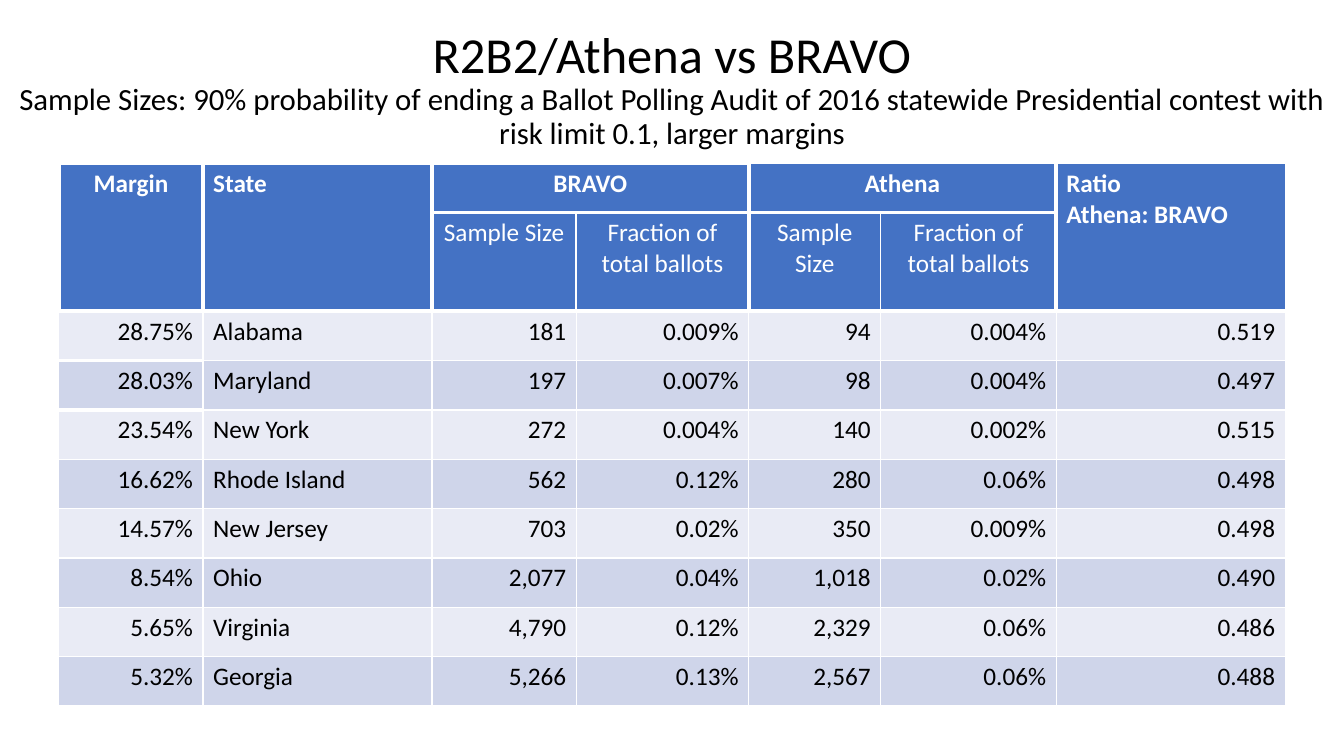
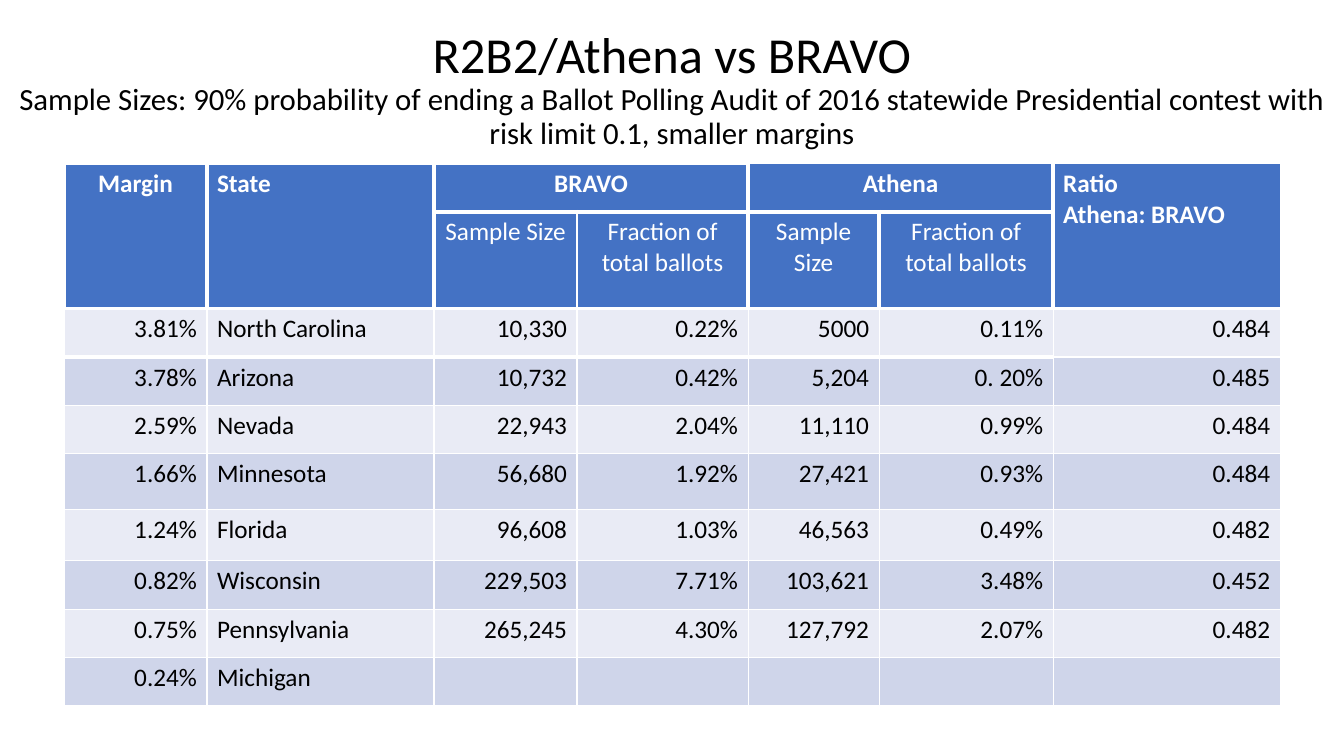
import pptx
import pptx.util
import pptx.dml.color
import pptx.enum.text
import pptx.oxml
import pptx.oxml.ns
from dataclasses import dataclass

ALIGN = pptx.enum.text.PP_ALIGN
LEFT, MID, RIGHT = ALIGN.LEFT, ALIGN.CENTER, ALIGN.RIGHT


@dataclass(frozen=True)
class Theme:
    font: str = "Calibri"
    ink: str = "000000"
    paper: str = "FFFFFF"
    head: str = "4472C4"
    bands: tuple = ("E9EBF5", "CFD5EA")
    title: int = 36
    sub: int = 22
    cell: int = 18
    thin: float = 1
    fine: float = 1.5
    thick: float = 3


T = Theme()
WIDE, HIGH = pptx.util.Inches(13.33), pptx.util.Inches(7.5)

# Shares of the table width, and the header cells with their spans
COLS = (1.43, 2.27, 1.43, 1.71, 1.31, 1.74, 2.27)
HEADS = (
    # row, column, rows, columns, text, alignment
    (0, 0, 2, 1, "Margin", MID),
    (0, 1, 2, 1, "State", LEFT),
    (0, 2, 1, 2, "BRAVO", MID),
    (0, 4, 1, 2, "Athena", MID),
    (0, 6, 2, 1, "Ratio\nAthena: BRAVO", LEFT),
    (1, 2, 1, 1, "Sample Size", MID),
    (1, 3, 1, 1, "Fraction of total ballots", MID),
    (1, 4, 1, 1, "Sample Size", MID),
    (1, 5, 1, 1, "Fraction of total ballots", MID),
)

LARGE = (
    ("28.75%", "Alabama", "181", "0.009%", "94", "0.004%", "0.519"),
    ("28.03%", "Maryland", "197", "0.007%", "98", "0.004%", "0.497"),
    ("23.54%", "New York", "272", "0.004%", "140", "0.002%", "0.515"),
    ("16.62%", "Rhode Island", "562", "0.12%", "280", "0.06%", "0.498"),
    ("14.57%", "New Jersey", "703", "0.02%", "350", "0.009%", "0.498"),
    ("8.54%", "Ohio", "2,077", "0.04%", "1,018", "0.02%", "0.490"),
    ("5.65%", "Virginia", "4,790", "0.12%", "2,329", "0.06%", "0.486"),
    ("5.32%", "Georgia", "5,266", "0.13%", "2,567", "0.06%", "0.488"),
)
SMALL = (
    ("3.81%", "North Carolina", "10,330", "0.22%", "5000", "0.11%", "0.484"),
    ("3.78%", "Arizona", "10,732", "0.42%", "5,204", "0. 20%", "0.485"),
    ("2.59%", "Nevada", "22,943", "2.04%", "11,110", "0.99%", "0.484"),
    ("1.66%", "Minnesota", "56,680", "1.92%", "27,421", "0.93%", "0.484"),
    ("1.24%", "Florida", "96,608", "1.03%", "46,563", "0.49%", "0.482"),
    ("0.82%", "Wisconsin", "229,503", "7.71%", "103,621", "3.48%", "0.452"),
    ("0.75%", "Pennsylvania", "265,245", "4.30%", "127,792", "2.07%", "0.482"),
    ("0.24%", "Michigan", "", "", "", "", ""),
)


@dataclass(frozen=True)
class Page:
    kind: str
    data: tuple
    box: tuple      # left, top, width, height as shares of the slide
    rows: tuple     # row heights in header-row units
    split: float    # line between the two Athena columns
    heavy: tuple    # (edge, column) of thick lines in the body


PAGES = (
    Page("larger", LARGE, (0.0438, 0.216, 0.9125, 0.718), (1, 2) + (1,) * 8,
         T.thin, ((3, 0), (4, 0))),
    Page("smaller", SMALL, (0.0476, 0.216, 0.905, 0.718),
         (1, 2, 1, 1, 1, 1.15, 1.06, 1, 1, 1),
         T.thick, tuple((3, c) for c in range(6))),
)


def put(frame, text, size=T.cell, color=T.ink, bold=False, align=LEFT,
        space=1.0, more=False):
    """Write each line of the text as a paragraph."""
    for n, line in enumerate(text.split("\n")):
        para = frame.add_paragraph() if n or more else frame.paragraphs[0]
        para.alignment, para.line_spacing = align, space
        run = para.add_run()
        run.text = line
        run.font.name, run.font.bold = T.font, bold
        run.font.size = pptx.util.Pt(size)
        run.font.color.rgb = pptx.dml.color.RGBColor.from_string(color)


def paint(cell, color):
    cell.fill.solid()
    cell.fill.fore_color.rgb = pptx.dml.color.RGBColor.from_string(color)


def edge(cell, widths):
    """Draw left, right, top and bottom lines, ahead of the cell fill."""
    props = cell._tc.get_or_add_tcPr()
    space = pptx.oxml.ns.nsdecls("a")
    for n, (side, width) in enumerate(zip("LRTB", widths)):
        props.insert(n, pptx.oxml.parse_xml(
            f'<a:ln{side} {space} w="{pptx.util.Pt(width)}"><a:solidFill>'
            f'<a:srgbClr val="{T.paper}"/></a:solidFill></a:ln{side}>'))


def upright(row, col, page):
    """Width of the line to the left of a column."""
    if row > 1 or col == len(COLS):
        return T.thin
    return {(1, 3): T.fine, (1, 5): page.split}.get((row, col), T.thick)


def flat(row, col, page):
    """Width of the line above a row."""
    if row == 0:
        return T.thick if col < 4 else T.thin
    return T.thick if row < 3 or (row, col) in page.heavy else T.thin


def frame(table, page, row, col, down=1, across=1):
    edge(table.cell(row, col), (
        upright(row, col, page), upright(row, col + across, page),
        flat(row, col, page), flat(row + down, col, page)))


def title(slide, kind, box):
    area = slide.shapes.add_textbox(*box).text_frame
    area.word_wrap = True
    area.vertical_anchor = pptx.enum.text.MSO_ANCHOR.MIDDLE
    put(area, "R2B2/Athena vs BRAVO", size=T.title, align=MID, space=0.9)
    put(area, "Sample Sizes: 90% probability of ending a Ballot Polling Audit "
        "of 2016 statewide Presidential contest with risk limit 0.1, "
        f"{kind} margins", size=T.sub, align=MID, space=0.9, more=True)


def grid(slide, page, box):
    table = slide.shapes.add_table(len(page.rows), len(COLS), *box).table
    table.first_row = table.horz_banding = False
    for col, share in zip(table.columns, COLS):
        col.width = int(box[2] * share / sum(COLS))
    for row, share in zip(table.rows, page.rows):
        row.height = int(box[3] * share / sum(page.rows))

    # Header
    for row in range(2):
        for col in range(len(COLS)):
            paint(table.cell(row, col), T.head)
    for row, col, down, across, text, align in HEADS:
        cell = table.cell(row, col)
        if down * across > 1:
            cell.merge(table.cell(row + down - 1, col + across - 1))
        put(cell.text_frame, text, color=T.paper, bold=row == 0, align=align)
        frame(table, page, row, col, down, across)

    # Body
    for row, line in enumerate(page.data, 2):
        for col, text in enumerate(line):
            cell = table.cell(row, col)
            paint(cell, T.bands[row % 2])
            frame(table, page, row, col)
            if text:
                put(cell.text_frame, text, align=LEFT if col == 1 else RIGHT)


def scale(left, top, width, height):
    return (int(left * WIDE), int(top * HIGH),
            int(width * WIDE), int(height * HIGH))


def main():
    deck = pptx.Presentation()
    deck.slide_width, deck.slide_height = WIDE, HIGH
    for page in PAGES:
        slide = deck.slides.add_slide(deck.slide_layouts[6])
        title(slide, page.kind, scale(0, 0.023, 1, 0.193))
        grid(slide, page, scale(*page.box))
    deck.save("out.pptx")


if __name__ == "__main__":
    main()
